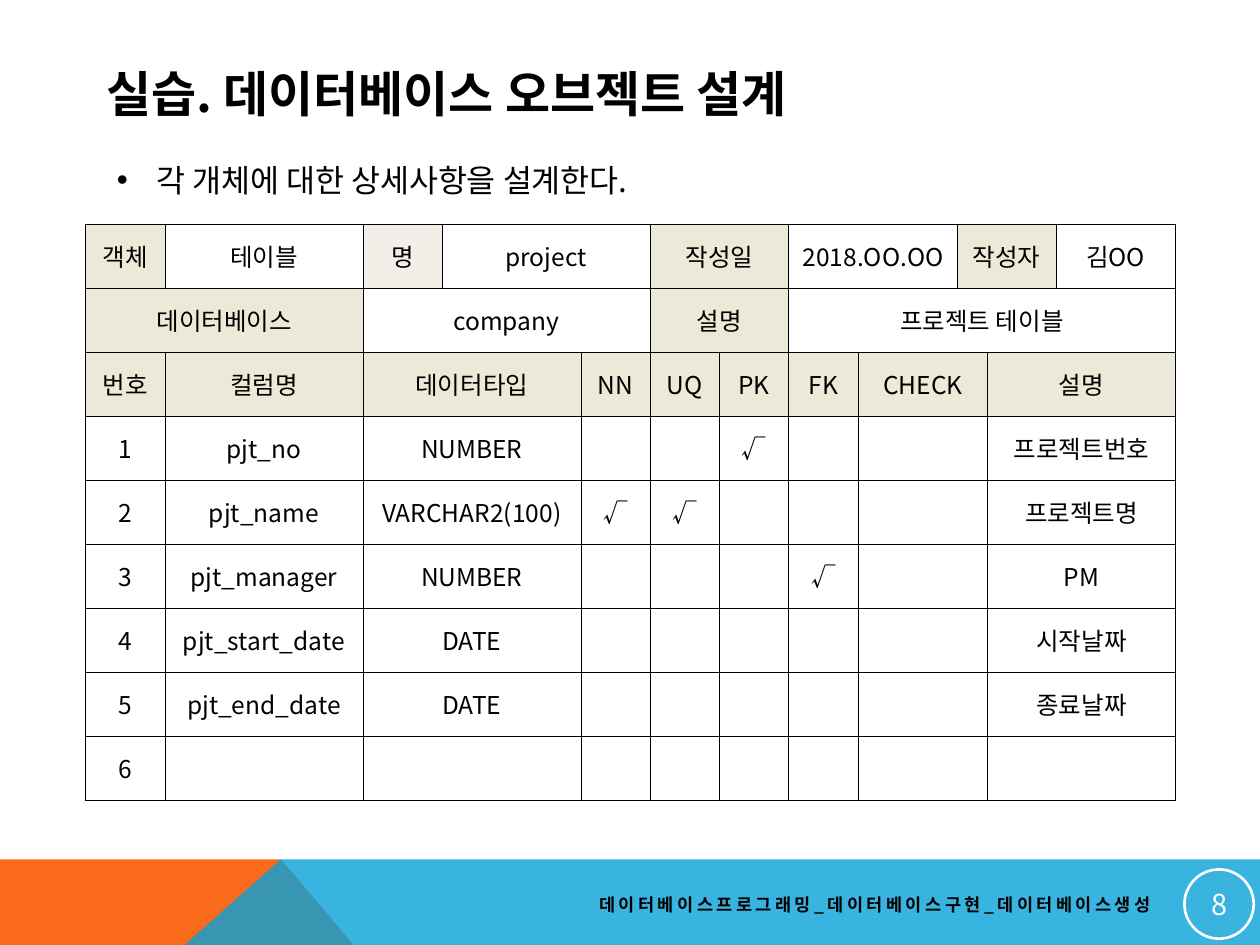
from lxml import etree
from pptx import Presentation
from pptx.dml.color import RGBColor
from pptx.enum.shapes import MSO_SHAPE
from pptx.enum.text import MSO_ANCHOR, PP_ALIGN
from pptx.oxml.ns import qn
from pptx.util import Inches, Pt

FONT = "Noto Sans CJK KR"
BLACK = RGBColor(0x00, 0x00, 0x00)
WHITE = RGBColor(0xFF, 0xFF, 0xFF)
ORANGE = RGBColor(0xF9, 0x6A, 0x1B)
BLUE = RGBColor(0x08, 0xA1, 0xD9)
BEIGE = RGBColor(0xED, 0xE9, 0xD9)
PALE = RGBColor(0xF3, 0xEF, 0xE8)
LEFT, CENTER, RIGHT = PP_ALIGN.LEFT, PP_ALIGN.CENTER, PP_ALIGN.RIGHT
TOP, MIDDLE = MSO_ANCHOR.TOP, MSO_ANCHOR.MIDDLE
OVAL = MSO_SHAPE.OVAL

COLUMN_WIDTHS = [0.63, 1.57, 0.63, 1.1, 0.55, 0.55, 0.55, 0.55, 0.79, 0.24, 0.54, 0.95]
FIELD_SPANS = [1, 1, 2, 1, 1, 1, 1, 2, 2]
FIELD_NAMES = ["번호", "컬럼명", "데이터타입", "NN", "UQ", "PK", "FK", "CHECK", "설명"]
CHECK = "√"
FIELDS = [
    ["1", "pjt_no", "NUMBER", "", "", CHECK, "", "", "프로젝트번호"],
    ["2", "pjt_name", "VARCHAR2(100)", CHECK, CHECK, "", "", "", "프로젝트명"],
    ["3", "pjt_manager", "NUMBER", "", "", "", CHECK, "", "PM"],
    ["4", "pjt_start_date", "DATE", "", "", "", "", "", "시작날짜"],
    ["5", "pjt_end_date", "DATE", "", "", "", "", "", "종료날짜"],
    ["6", "", "", "", "", "", "", "", ""],
]
SPEC_ROWS = [
    [("객체", 1, BEIGE), ("테이블", 1, WHITE), ("명", 1, PALE), ("project", 2, None),
     ("작성일", 2, BEIGE), ("2018.OO.OO", 2, None), ("작성자", 2, BEIGE), ("김OO", 1, None)],
    [("데이터베이스", 2, BEIGE), ("company", 3, None), ("설명", 2, BEIGE),
     ("프로젝트 테이블", 5, None)],
    [(name, span, BEIGE) for name, span in zip(FIELD_NAMES, FIELD_SPANS)],
] + [[(value, span, None) for value, span in zip(field, FIELD_SPANS)] for field in FIELDS]


def write(paragraph, text, size, color=BLACK, bold=False, align=LEFT, spacing=0):
    """Add one styled run to a paragraph."""
    paragraph.alignment = align
    run = paragraph.add_run()
    run.text = text
    font = run.font
    font.size, font.bold, font.name = Pt(size), bold, FONT
    font.color.rgb = color
    properties = run._r.get_or_add_rPr()
    etree.SubElement(properties, qn("a:ea"), typeface=FONT)
    if spacing:
        properties.set("spc", str(spacing * 100))


def add_label(slide, box, text, size, anchor=MIDDLE, wrap=True, **style):
    """Place a one-paragraph text box and return its paragraph."""
    frame = slide.shapes.add_textbox(*map(Inches, box)).text_frame
    frame.word_wrap = wrap
    frame.vertical_anchor = anchor
    write(frame.paragraphs[0], text, size, **style)
    return frame.paragraphs[0]


def add_panel(slide, points, color, opacity=100):
    """Draw a borderless filled polygon."""
    builder = slide.shapes.build_freeform(*map(Inches, points[0]), scale=1.0)
    builder.add_line_segments([tuple(map(Inches, point)) for point in points[1:]])
    panel = builder.convert_to_shape()
    panel.shadow.inherit = False
    panel.line.fill.background()
    panel.fill.solid()
    panel.fill.fore_color.rgb = color
    if opacity < 100:
        tint = panel._element.spPr.find(qn("a:solidFill"))[0]
        etree.SubElement(tint, qn("a:alpha"), val=str(opacity * 1000))


def add_footer_band(slide, left, top, width, height):
    """Draw the orange and blue panels that meet at a peak."""
    peak, foot, right, bottom = left + 2.23, left + 3.91, left + width, top + height
    add_panel(slide, [(left, bottom), (left, top), (peak, top), (foot, bottom)], ORANGE)
    add_panel(slide, [(left, bottom), (peak, top), (right, top), (right, bottom)], BLUE, 80)


def add_borders(cell):
    """Give a cell thin black edges."""
    properties = cell._tc.get_or_add_tcPr()
    for edge in ("a:lnL", "a:lnR", "a:lnT", "a:lnB"):
        line = etree.SubElement(properties, qn(edge), w=str(Pt(0.28)))
        ink = etree.SubElement(line, qn("a:solidFill"))
        etree.SubElement(ink, qn("a:srgbClr"), val=str(BLACK))


def fill_cell(cell, text, color):
    """Set the fill, margins and text of a cell."""
    if color is None:
        cell.fill.background()
    else:
        cell.fill.solid()
        cell.fill.fore_color.rgb = color
    cell.margin_left = cell.margin_right = Inches(0.06)
    cell.margin_top = cell.margin_bottom = 0
    cell.vertical_anchor = MIDDLE
    if text:
        write(cell.text_frame.paragraphs[0], text, 14, align=CENTER)


def add_spec_table(slide, left, top, width, height):
    """Build the table specification with its merged cells."""
    frame = slide.shapes.add_table(len(SPEC_ROWS), len(COLUMN_WIDTHS),
                                   *map(Inches, (left, top, width, height)))
    table = frame.table
    table.first_row = table.horz_banding = False
    for column, column_width in zip(table.columns, COLUMN_WIDTHS):
        column.width = Inches(column_width)
    for row in table.rows:
        row.height = Inches(height / len(SPEC_ROWS))
    for cell in table.iter_cells():
        add_borders(cell)
        cell.fill.background()
    for row_index, entries in enumerate(SPEC_ROWS):
        start = 0
        for text, span, color in entries:
            cell = table.cell(row_index, start)
            if span > 1:
                cell.merge(table.cell(row_index, start + span - 1))
            fill_cell(cell, text, color)
            start += span


def add_page_number(slide, left, top, size, number):
    """Draw the ringed page number."""
    ring = slide.shapes.add_shape(OVAL, *map(Inches, (left, top, size, size)))
    ring.shadow.inherit = False
    ring.fill.background()
    ring.line.color.rgb = WHITE
    ring.line.width = Pt(1.5)
    frame = ring.text_frame
    frame.margin_left = frame.margin_right = Inches(0.01)
    frame.margin_top = frame.margin_bottom = Inches(0.01)
    frame.vertical_anchor = MIDDLE
    write(frame.paragraphs[0], number, 16.5, WHITE, align=CENTER)


def add_bullet(slide, box, text):
    """Place a bulleted line with a hanging indent."""
    paragraph = add_label(slide, box, text, 18, anchor=TOP, wrap=False)
    properties = paragraph._p.get_or_add_pPr()
    properties.set("marL", str(Inches(0.31)))
    properties.set("indent", str(Inches(-0.31)))
    etree.SubElement(properties, qn("a:buFont"), typeface="Arial")
    etree.SubElement(properties, qn("a:buChar"), char="•")


def build():
    """Assemble the slide and save it."""
    deck = Presentation()
    deck.slide_width, deck.slide_height = Inches(10), Inches(7.5)
    slide = deck.slides.add_slide(deck.slide_layouts[6])
    add_footer_band(slide, 0, 6.82, 10, 1.98)
    add_spec_table(slide, 0.68, 1.78, 8.65, 4.57)
    add_page_number(slide, 9.4, 6.9, 0.55, "8")
    add_bullet(slide, (0.83, 1.23, 4.72, 0.4), "각 개체에 대한 상세사항을 설계한다.")
    add_label(slide, (4.06, 7.03, 5.17, 0.3),
              "데이터베이스프로그래밍_데이터베이스구현_데이터베이스생성",
              10, bold=True, align=RIGHT, spacing=2)
    add_label(slide, (0.75, 0.44, 8.22, 0.6), "실습. 데이터베이스 오브젝트 설계", 28, bold=True)
    deck.save("out.pptx")


build()
